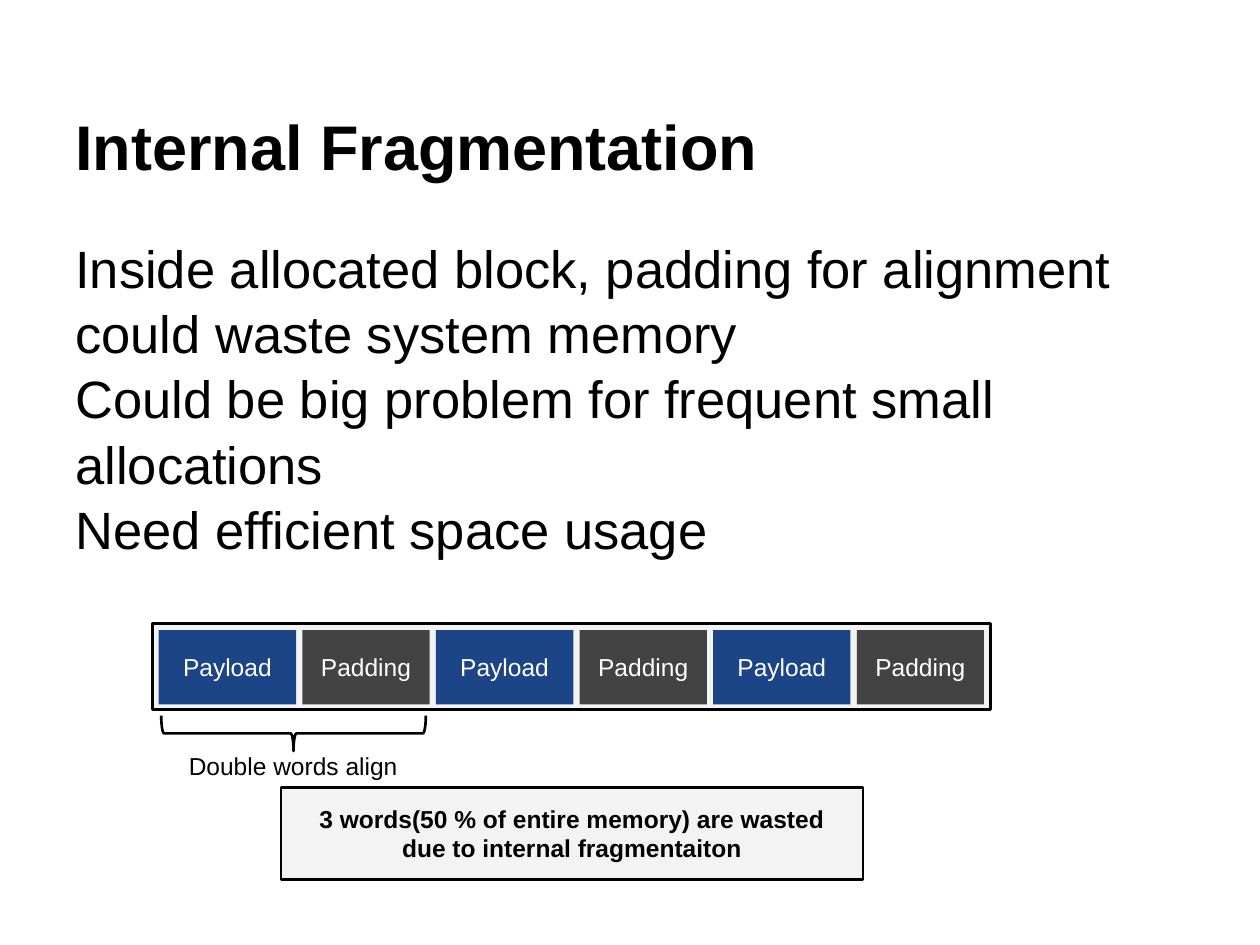
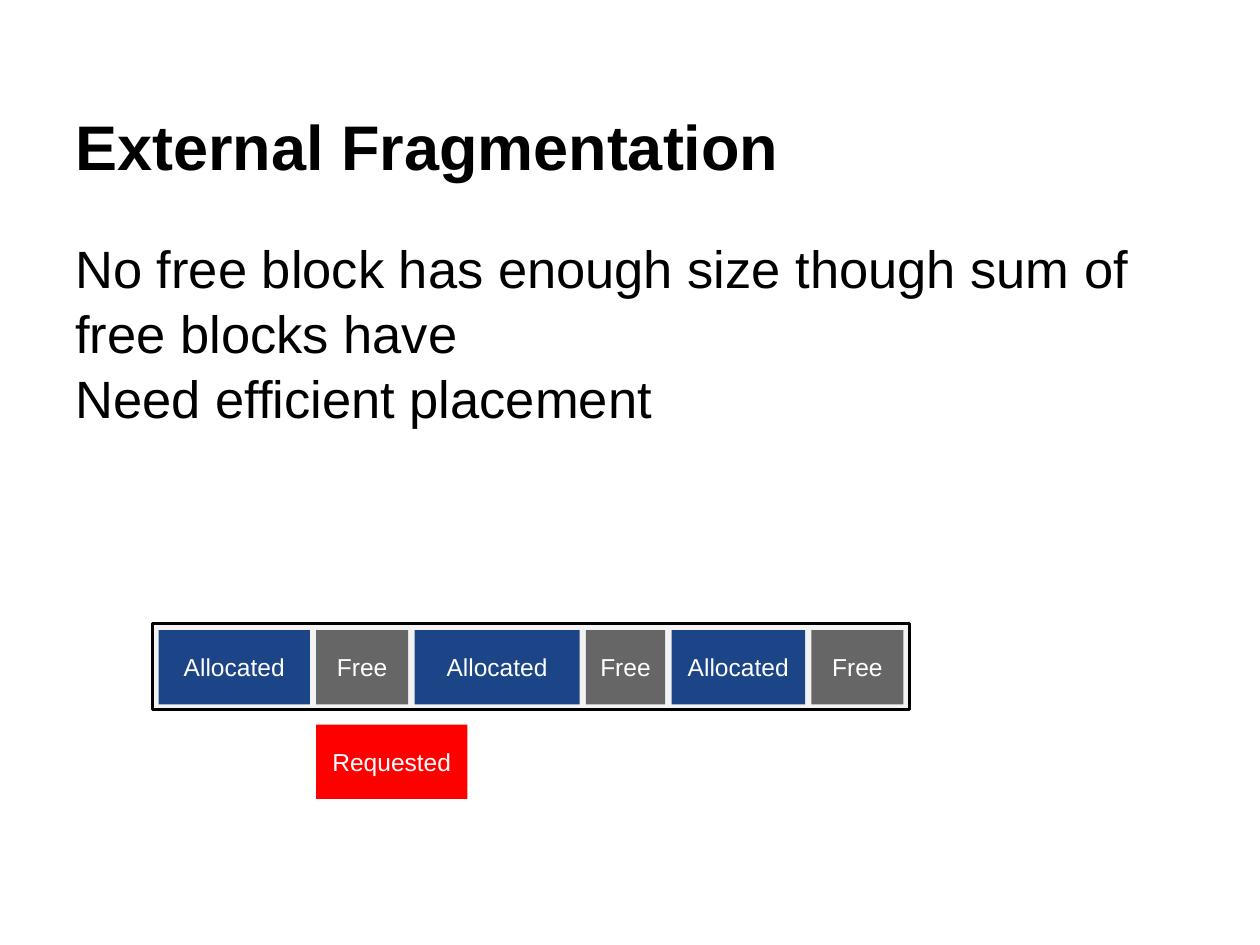
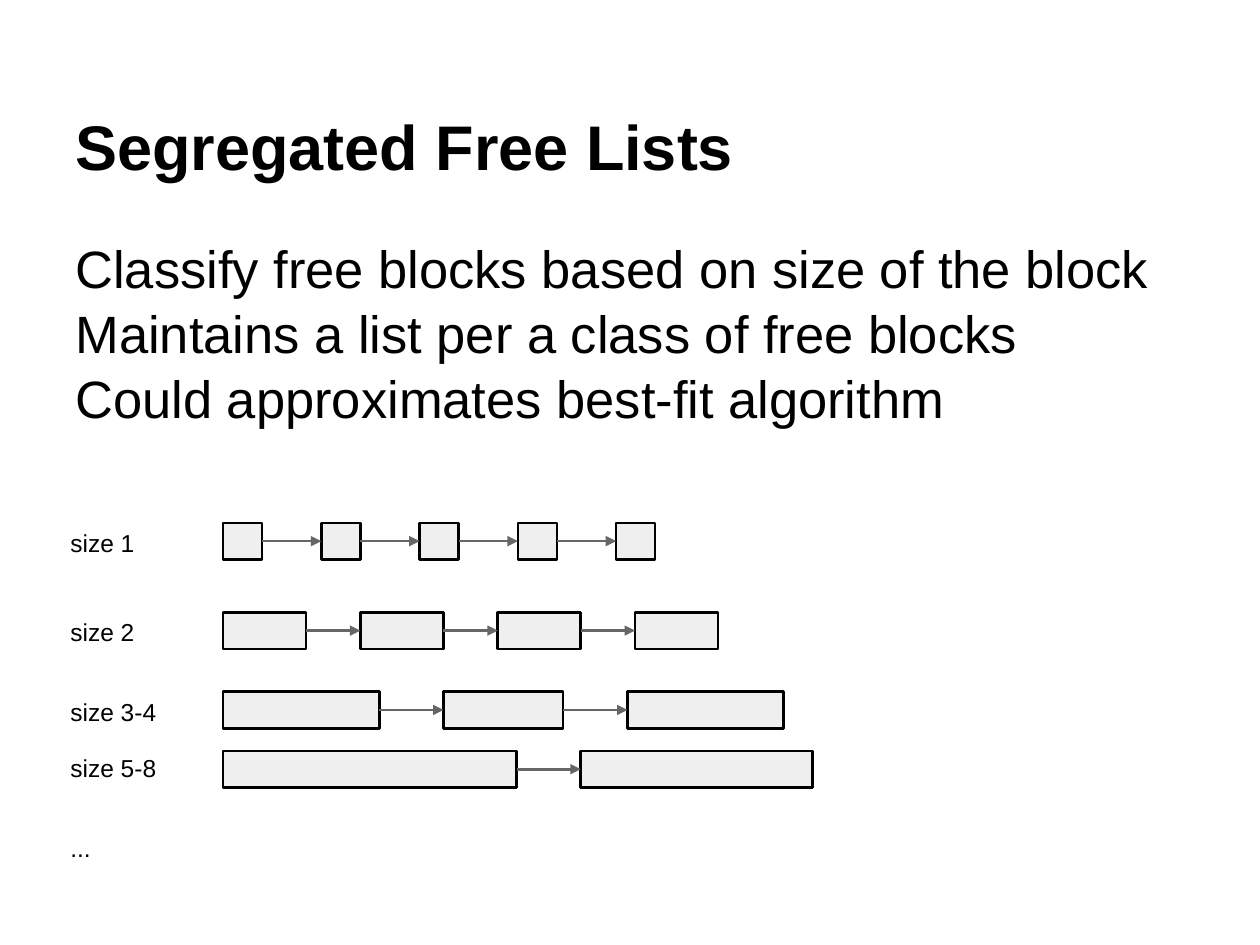
from pptx import Presentation
from pptx.dml.color import RGBColor as Rgb
from pptx.enum.shapes import MSO_CONNECTOR as Link, MSO_SHAPE as Kind
from pptx.enum.text import MSO_ANCHOR as Anchor, PP_ALIGN as Align
from pptx.oxml.ns import qn
from pptx.util import Inches, Pt
from lxml.etree import SubElement

# Shared style
FONT = "Arial"
COLORS = {"ink": "000000", "white": "FFFFFF", "frame": "F3F3F3", "node": "EFEFEF",
          "blue": "1C4587", "dark": "434343", "gray": "666666", "red": "FF0000"}
LINE = 1.5

# Slide text
PAGES = [
    ("Internal Fragmentation",
     ["Inside allocated block, padding for alignment could waste system memory",
      "Could be big problem for frequent small allocations",
      "Need efficient space usage"]),
    ("External Fragmentation",
     ["No free block has enough size though sum of free blocks have",
      "Need efficient placement"]),
    ("Segregated Free Lists",
     ["Classify free blocks based on size of the block",
      "Maintains a list per a class of free blocks",
      "Could approximates best-fit algorithm"]),
]

# Memory cells: label, width, color
PADDED = [("Payload", 1.09, "blue"), ("Padding", 1.01, "dark")] * 3
MIXED = [("Allocated", 1.2, "blue"), ("Free", 0.73, "gray"),
         ("Allocated", 1.31, "blue"), ("Free", 0.63, "gray"),
         ("Allocated", 1.06, "blue"), ("Free", 0.73, "gray")]
WASTE = ["3 words(50 % of entire memory) are wasted",
         "due to internal fragmentaiton"]
CELL_X, CELL_Y, CELL_H, CELL_GAP = 1.26, 5, 0.59, 0.05

# Free lists: label, label top, node top, gap, node widths
LISTS = [
    ("size 1", 4.09, 4.15, 0.47, [0.31] * 5),
    ("size 2", 4.8, 4.86, 0.43, [0.66] * 4),
    ("size 3-4", 5.43, 5.49, 0.51, [1.24, 0.95, 1.24]),
    ("size 5-8", 5.88, 5.96, 0.51, [2.33, 1.84]),
    ("...", 6.51, 0, 0, []),
]
NODE_X, NODE_H = 1.77, 0.29


def rgb(name):
    return Rgb.from_string(COLORS[name])


def write(shape, lines, size=14, color="ink", bold=False, align=Align.LEFT,
          anchor=Anchor.TOP, space=None):
    frame = shape.text_frame
    frame.word_wrap = True
    frame.vertical_anchor = anchor
    frame.margin_left = frame.margin_right = Inches(0.1)
    frame.margin_top = frame.margin_bottom = Inches(0.1)
    for i, line in enumerate(lines):
        para = frame.add_paragraph() if i else frame.paragraphs[0]
        para.alignment = align
        para.line_spacing = space
        run = para.add_run()
        run.text = line
        font = run.font
        font.name, font.size, font.bold = FONT, Pt(size), bold
        font.color.rgb = rgb(color)


def add_text(slide, box, lines, **style):
    write(slide.shapes.add_textbox(*map(Inches, box)), lines, **style)


def add_box(slide, box, fill=None, line=None, kind=Kind.RECTANGLE):
    shape = slide.shapes.add_shape(kind, *map(Inches, box))
    shape.shadow.inherit = False
    if fill:
        shape.fill.solid()
        shape.fill.fore_color.rgb = rgb(fill)
    else:
        shape.fill.background()
    if line:
        shape.line.color.rgb = rgb(line)
        shape.line.width = Pt(LINE)
    else:
        shape.line.fill.background()
    return shape


def add_cell(slide, x, y, width, label, fill):
    cell = add_box(slide, (x, y, width, CELL_H), fill)
    write(cell, [label], color="white", align=Align.CENTER, anchor=Anchor.MIDDLE)


def add_memory(slide, cells):
    gap = CELL_GAP
    width = sum(cell[1] + gap for cell in cells) + gap
    add_box(slide, (CELL_X - gap, CELL_Y - gap, width, CELL_H + 0.09), "frame", "ink")
    x = CELL_X
    for label, width, fill in cells:
        add_cell(slide, x, CELL_Y, width, label, fill)
        x += width + gap


def add_arrow(slide, start, end):
    arrow = slide.shapes.add_connector(Link.STRAIGHT, 0, 0, 0, 0)
    arrow.begin_connect(start, 3)
    arrow.end_connect(end, 1)
    arrow.line.color.rgb = rgb("gray")
    arrow.line.width = Pt(LINE)
    SubElement(arrow.line._get_or_add_ln(), qn("a:tailEnd"), type="triangle")
    SubElement(arrow._element.spPr, qn("a:effectLst"))


def add_list(slide, y, gap, widths):
    x, last = NODE_X, None
    for width in widths:
        node = add_box(slide, (x, y, width, NODE_H), "node", "ink")
        if last:
            add_arrow(slide, last, node)
        x, last = x + width + gap, node


def add_page(deck, title, body):
    slide = deck.slides.add_slide(deck.slide_layouts[6])
    add_text(slide, (0.5, 0.3, 9, 1.25), [title], size=36, bold=True,
             anchor=Anchor.BOTTOM)
    add_text(slide, (0.5, 1.75, 9, 5.43), body, size=30, space=1.04)
    return slide


def main():
    deck = Presentation()
    deck.slide_width, deck.slide_height = Inches(10), Inches(7.5)
    inner, outer, lists = [add_page(deck, *page) for page in PAGES]

    # Internal fragmentation
    add_memory(inner, PADDED)
    brace = add_box(inner, (2.19, 4.77, 0.28, 2.1), line="ink", kind=Kind.LEFT_BRACE)
    brace.rotation = 270
    add_text(inner, (1.4, 5.86, 1.97, 0.39), ["Double words align"])
    note = add_box(inner, (2.23, 6.25, 4.62, 0.73), "frame", "ink")
    write(note, WASTE, bold=True, align=Align.CENTER, anchor=Anchor.MIDDLE)

    # External fragmentation
    add_memory(outer, MIXED)
    add_cell(outer, 2.51, 5.75, 1.2, "Requested", "red")

    # Segregated free lists
    for label, top, y, gap, widths in LISTS:
        add_text(lists, (0.46, top, 0.95, 0.58), [label])
        add_list(lists, y, gap, widths)

    deck.save("out.pptx")


if __name__ == "__main__":
    main()
